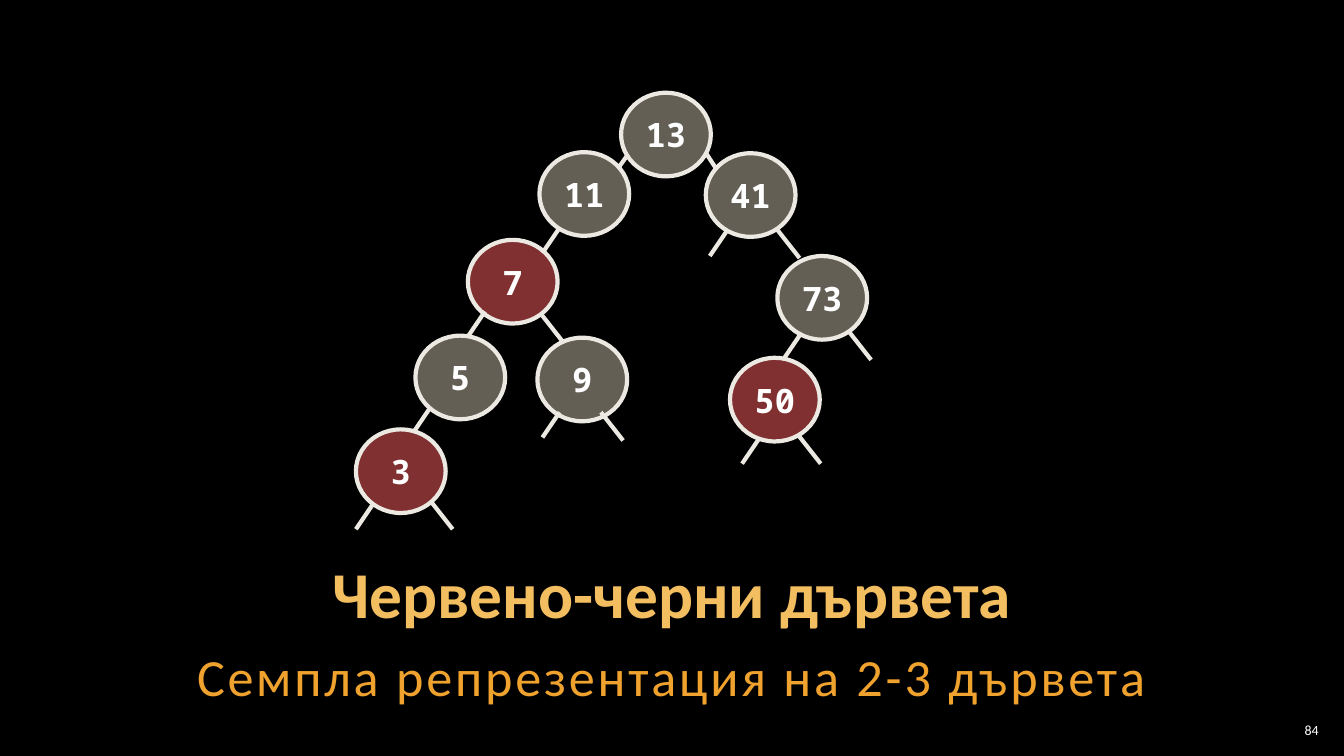
import pptx
import pptx.util
import pptx.dml.color
import pptx.enum.shapes
import pptx.enum.text
import pptx.oxml.ns
import lxml.etree

Inches = pptx.util.Inches
Pt = pptx.util.Pt
RGBColor = pptx.dml.color.RGBColor
Align = pptx.enum.text.PP_ALIGN
Anchor = pptx.enum.text.MSO_ANCHOR
qn = pptx.oxml.ns.qn

COLORS = {
    "background": "000000",
    "title": "F3BE60",
    "subtitle": "F0A22E",
    "text": "FFFFFF",
    "outline": "ECE9E2",
    "black_node": "C6BEAB",
    "red_node": "FF6161",
}
NODE_WIDTH, NODE_HEIGHT = 0.89, 0.83
ROOT_LEFT, ROOT_RIGHT = (-0.1, 0.14), (0.09, 0.14)
LEFT, RIGHT = (-0.17, 0.25), (0.22, 0.28)

presentation = pptx.Presentation()
presentation.slide_width = Inches(13.33)
presentation.slide_height = Inches(7.5)
slide = presentation.slides.add_slide(presentation.slide_layouts[6])
slide.background.fill.solid()
slide.background.fill.fore_color.rgb = RGBColor.from_string(COLORS["background"])


def write_text(shape, text, size, font_name, color, alignment, anchor, bold):
    frame = shape.text_frame
    frame.word_wrap = True
    frame.vertical_anchor = anchor
    paragraph = frame.paragraphs[0]
    paragraph.text = text
    paragraph.alignment = alignment
    paragraph.font.size = Pt(size)
    paragraph.font.name = font_name
    paragraph.font.bold = bold
    paragraph.font.color.rgb = RGBColor.from_string(COLORS[color])
    return paragraph


nodes = [
    ("13", 6.16, 0.92, "black_node", [(0.07, 0.61, ROOT_LEFT), (0.85, 0.61, ROOT_RIGHT)]),
    ("41", 7.0, 1.52, "black_node", [(0.21, 0.77, LEFT), (0.71, 0.76, RIGHT)]),
    ("73", 7.71, 2.54, "black_node", [(0.24, 0.76, LEFT), (0.71, 0.75, RIGHT)]),
    ("11", 5.35, 1.51, "black_node", [(0.2, 0.75, LEFT)]),
    ("50", 7.24, 3.55, "red_node", [(0.29, 0.8, LEFT), (0.68, 0.77, RIGHT)]),
    ("7", 4.64, 2.38, "red_node", [(0.17, 0.71, LEFT), (0.73, 0.74, RIGHT)]),
    ("9", 5.33, 3.35, "black_node", [(0.22, 0.74, LEFT), (0.63, 0.74, RIGHT)]),
    ("5", 4.12, 3.33, "black_node", [(0.15, 0.71, LEFT)]),
    ("3", 3.53, 4.26, "red_node", [(0.17, 0.74, LEFT), (0.74, 0.71, RIGHT)]),
]
for key, left, top, color, branches in nodes:
    node = slide.shapes.add_shape(
        pptx.enum.shapes.MSO_SHAPE.OVAL,
        Inches(left), Inches(top), Inches(NODE_WIDTH), Inches(NODE_HEIGHT))
    node.shadow.inherit = False
    node.fill.solid()
    node.fill.fore_color.rgb = RGBColor.from_string(COLORS[color])
    fill_color = node._element.spPr.find(qn("a:solidFill")).find(qn("a:srgbClr"))
    lxml.etree.SubElement(fill_color, qn("a:alpha")).set("val", "50000")
    node.line.color.rgb = RGBColor.from_string(COLORS["outline"])
    node.line.width = Pt(3)
    write_text(node, key, 24, "Noto Sans Mono", "text", Align.CENTER, Anchor.MIDDLE, True)

for key, left, top, color, branches in nodes:
    for offset_x, offset_y, (run, drop) in branches:
        x, y = left + offset_x, top + offset_y
        branch = slide.shapes.add_connector(
            pptx.enum.shapes.MSO_CONNECTOR.STRAIGHT,
            Inches(x), Inches(y), Inches(x + run), Inches(y + drop))
        branch.line.color.rgb = RGBColor.from_string(COLORS["outline"])
        branch.line.width = Pt(3)
        lxml.etree.SubElement(branch._element.spPr, qn("a:effectLst"))

captions = [
    ("Червено-черни дървета", (1, 5.42, 11.33, 0.9), 46.7, "title",
     Align.CENTER, Anchor.BOTTOM, True, 0.9, 0),
    ("Семпла репрезентация на 2-3 дървета", (1, 6.32, 11.33, 0.79), 37.3, "subtitle",
     Align.CENTER, Anchor.TOP, False, 1.05, 2),
    ("84", (12.65, 7.14, 0.47, 0.21), 10, "text",
     Align.RIGHT, Anchor.MIDDLE, False, 1.0, 0),
]
for text, box, size, color, alignment, anchor, bold, line_spacing, tracking in captions:
    caption = slide.shapes.add_textbox(*[Inches(length) for length in box])
    frame = caption.text_frame
    frame.margin_left = frame.margin_right = Inches(0.04)
    frame.margin_top = frame.margin_bottom = Inches(0.04)
    paragraph = write_text(caption, text, size, "Calibri", color, alignment, anchor, bold)
    paragraph.line_spacing = line_spacing
    if tracking:
        paragraph.runs[0].font._element.set("spc", str(tracking * 100))

presentation.save("out.pptx")
